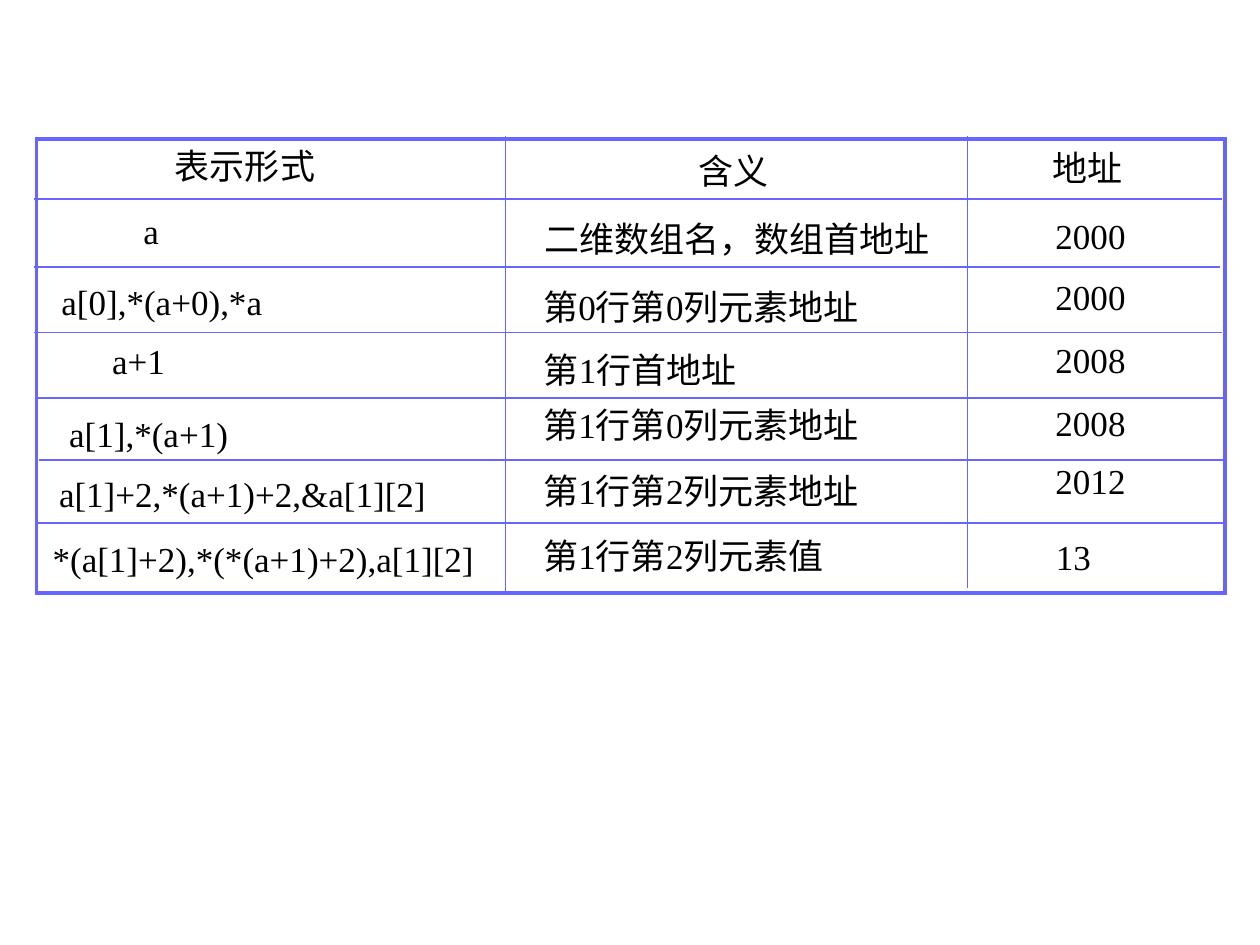
from lxml.etree import SubElement
from pptx import Presentation
from pptx.dml.color import RGBColor
from pptx.enum.shapes import MSO_CONNECTOR, MSO_SHAPE
from pptx.enum.text import MSO_ANCHOR, MSO_AUTO_SIZE, PP_ALIGN
from pptx.oxml.ns import qn
from pptx.util import Inches, Pt

BLUE = RGBColor(0x66, 0x66, 0xFF)
WHITE = RGBColor(0xFF, 0xFF, 0xFF)
BLACK = RGBColor(0x00, 0x00, 0x00)

TEXT_HEIGHT = 0.44
SIDE_SLACK = 0.03
FRAME_FORMAT = {
    "word_wrap": False,
    "auto_size": MSO_AUTO_SIZE.SHAPE_TO_FIT_TEXT,
    "vertical_anchor": MSO_ANCHOR.MIDDLE,
}
FONT_FORMAT = {"name": "Times New Roman", "size": Pt(20)}

# Start x, end x, y
ROW_RULES = [
    (0.27, 9.7, 1.58),
    (0.27, 9.68, 2.12),
    (0.27, 9.7, 2.64),
    (0.29, 9.72, 3.16),
    (0.31, 9.72, 3.65),
    (0.29, 9.72, 4.15),
]
# x, bottom y
COLUMN_RULES = [(4.01, 4.69), (7.68, 4.67)]
COLUMN_TOP = 1.08

# Each column lists text, left, top, width
EXPRESSIONS = [
    ("表示形式", 1.29, 1.09, 1.31),
    ("a", 1.04, 1.61, 0.32),
    ("a[0],*(a+0),*a", 0.39, 2.17, 1.79),
    ("a+1", 0.79, 2.64, 0.62),
    ("a[1],*(a+1)", 0.45, 3.22, 1.46),
    ("a[1]+2,*(a+1)+2,&a[1][2]", 0.37, 3.7, 3.11),
    ("*(a[1]+2),*(*(a+1)+2),a[1][2]", 0.32, 4.21, 3.54),
]
MEANINGS = [
    ("含义", 5.45, 1.13, 0.75),
    ("二维数组名，数组首地址", 4.22, 1.67, 3.26),
    ("第0行第0列元素地址", 4.08, 2.21, 2.97),
    ("第1行首地址", 4.15, 2.71, 1.86),
    ("第1行第0列元素地址", 4.08, 3.15, 2.97),
    ("第1行第2列元素地址", 4.08, 3.67, 2.97),
    ("第1行第2列元素值", 4.08, 4.19, 2.69),
]
ADDRESSES = [
    ("地址", 8.26, 1.11, 0.75),
    ("2000", 8.28, 1.65, 0.75),
    ("2000", 8.28, 2.13, 0.75),
    ("2008", 8.28, 2.63, 0.75),
    ("2008", 8.28, 3.13, 0.75),
    ("2012", 8.28, 3.59, 0.75),
    ("13", 8.28, 4.2, 0.48),
]


def apply_format(target, values):
    for name, value in values.items():
        setattr(target, name, value)


def add_frame(shapes, left, top, width, height):
    frame = shapes.add_shape(
        MSO_SHAPE.RECTANGLE,
        Inches(left), Inches(top), Inches(width), Inches(height),
    )
    frame.shadow.inherit = False
    frame.fill.solid()
    frame.fill.fore_color.rgb = WHITE
    frame.line.color.rgb = BLUE
    frame.line.width = Pt(2.25)
    outline = frame.element.spPr.find(qn("a:ln"))
    SubElement(outline, qn("a:miter"), lim="800000")


def add_rule(shapes, x1, y1, x2, y2):
    rule = shapes.add_connector(
        MSO_CONNECTOR.STRAIGHT, Inches(x1), Inches(y1), Inches(x2), Inches(y2)
    )
    rule.line.color.rgb = BLUE
    rule.line.width = Pt(0.75)
    SubElement(rule.element.spPr, qn("a:effectLst"))


def add_label(shapes, text, left, top, width):
    """Add one centred line, with slack on both sides so it never wraps."""
    box = shapes.add_textbox(
        Inches(left - SIDE_SLACK), Inches(top),
        Inches(width + 2 * SIDE_SLACK), Inches(TEXT_HEIGHT),
    )
    apply_format(box.text_frame, FRAME_FORMAT)
    para = box.text_frame.paragraphs[0]
    para.alignment = PP_ALIGN.CENTER
    span = para.add_run()
    span.text = text
    apply_format(span.font, FONT_FORMAT)
    span.font.color.rgb = BLACK


def main():
    deck = Presentation()
    deck.slide_width, deck.slide_height = Inches(10), Inches(7.5)
    page = deck.slides.add_slide(deck.slide_layouts[6])
    shapes = page.shapes

    add_frame(shapes, 0.29, 1.1, 9.43, 3.61)
    for start, end, y in ROW_RULES:
        add_rule(shapes, start, y, end, y)
    for x, bottom in COLUMN_RULES:
        add_rule(shapes, x, COLUMN_TOP, x, bottom)
    for column in (EXPRESSIONS, MEANINGS, ADDRESSES):
        for label in column:
            add_label(shapes, *label)

    deck.save("out.pptx")


if __name__ == "__main__":
    main()
